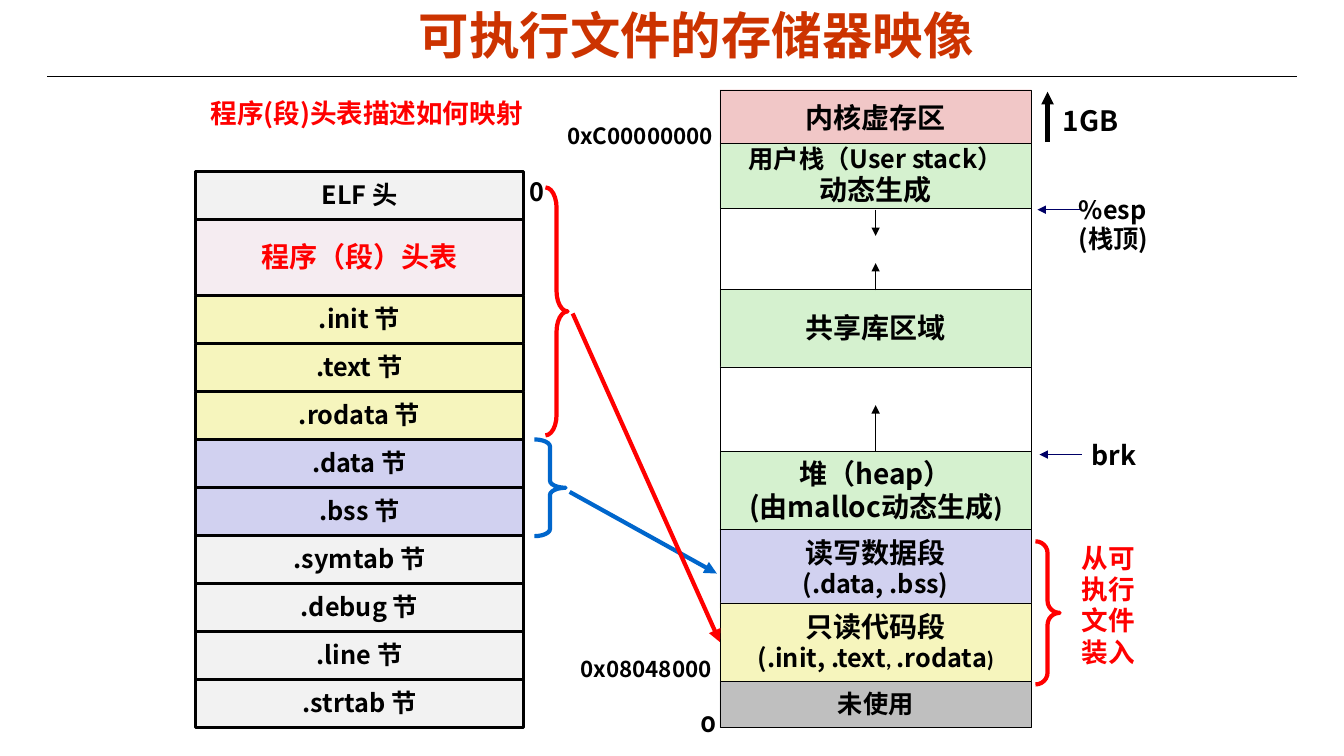
from lxml import etree
from pptx import Presentation
from pptx import util as u
from pptx.dml.color import RGBColor
from pptx.enum import shapes, text
from pptx.oxml.ns import qn

# Grid: one column or row is one inch; the two memory columns have fixed edges
WIDTH, HEIGHT = 13.33, 7.5
ELF_X, ELF_W, ELF_TOP, ELF_BOTTOM = 1.94, 3.25, 1.7, 7.22
HEADER_H = 0.76
MEM_X, MEM_W = 7.14, 3.09
MEM_MID = MEM_X + MEM_W / 2
CJK, LATIN = "Noto Sans CJK SC", "Calibri"
COLORS = {
    "black": "000000", "title": "CC3300", "red": "FF0000", "blue": "0066CC",
    "navy": "000066", "white": "FFFFFF", "kernel": "F1C7C7", "dynamic": "D5F1CF",
    "data": "D1D1F0", "code": "F6F5BD", "unused": "BFBFBF", "plain": "F2F2F2",
    "header": "993366",
}

# ELF sections below the program header table
SECTIONS = [
    (".init 节", "code"), (".text 节", "code"), (".rodata 节", "code"),
    (".data 节", "data"), (".bss 节", "data"), (".symtab 节", "plain"),
    (".debug 节", "plain"), (".line 节", "plain"), (".strtab 节", "plain"),
]
# Memory areas: top, height, fill, paragraphs of (text, size, font) runs
AREAS = [
    (2.07, 0.8, "white", []),
    (0.89, 0.57, "kernel", [[("内核虚存区", 20, CJK)]]),
    (2.87, 0.78, "dynamic", [[("共享库区域", 20, CJK)]]),
    (3.64, 0.84, "white", []),
    (4.48, 0.78, "dynamic", [[("堆（heap）", 20, CJK)],
                             [("(由malloc动态生成", 20, CJK), (")", 20, LATIN)]]),
    (1.42, 0.65, "dynamic", [[("用户栈（User stack）", 18, CJK)],
                             [("动态生成", 20, LATIN)]]),
    (6.76, 0.46, "unused", [[("未使用", 18, CJK)]]),
    (5.25, 0.78, "data", [[("读写数据段", 20, CJK)], [("(.data, .bss)", 18, CJK)]]),
    (5.98, 0.78, "code", [[("只读代码段", 20, CJK)],
                          [("(.init, .text", 18, CJK), (", ", 16, LATIN),
                           (".rodata", 18, CJK), (")", 16, LATIN)]]),
]


def rgb(name):
    return RGBColor.from_string(COLORS[name])


def box(x, y, w, h):
    return [u.Inches(v) for v in (x, y, w, h)]


def write(tf, paragraphs, color="black", align="LEFT", spacing=0.98,
          anchor="TOP", wrap=False, inset=0.1):
    tf.word_wrap = wrap
    tf.vertical_anchor = text.MSO_ANCHOR[anchor]
    tf.margin_left = tf.margin_right = u.Inches(inset)
    tf.margin_top = tf.margin_bottom = u.Inches(0.05)
    for i, runs in enumerate(paragraphs):
        p = tf.paragraphs[0] if i == 0 else tf.add_paragraph()
        p.alignment = text.PP_ALIGN[align]
        p.line_spacing = spacing
        for words, size, font in runs:
            r = p.add_run()
            r.text = words
            r.font.size, r.font.bold, r.font.name = u.Pt(size), True, font
            r.font.color.rgb = rgb(color)
            ea = etree.SubElement(r.font._element, qn("a:ea"))
            ea.set("typeface", CJK)


def label(s, x, y, w, h, lines, size, font=CJK, **style):
    sp = s.shapes.add_textbox(*box(x, y, w, h))
    write(sp.text_frame, [[(line, size, font)] for line in lines], **style)


def block(s, x, y, w, h, fill, paragraphs, line=0.25, color="black", alpha=None):
    sp = s.shapes.add_shape(shapes.MSO_SHAPE.RECTANGLE, *box(x, y, w, h))
    sp.shadow.inherit = False
    sp.fill.solid()
    sp.fill.fore_color.rgb = rgb(fill)
    if alpha:
        clr = sp._element.spPr.find(".//" + qn("a:srgbClr"))
        etree.SubElement(clr, qn("a:alpha")).set("val", str(alpha * 1000))
    sp.line.color.rgb = rgb("black")
    sp.line.width = u.Pt(line)
    write(sp.text_frame, paragraphs, color, "CENTER", anchor="MIDDLE")


def brace(s, x, y, w, h, color, curve):
    sp = s.shapes.add_shape(shapes.MSO_SHAPE.RIGHT_BRACE, *box(x, y, w, h))
    sp.shadow.inherit = False
    sp.adjustments[0], sp.adjustments[1] = curve, 0.5
    sp.fill.background()
    sp.line.color.rgb = rgb(color)
    sp.line.width = u.Pt(3)


def line(s, x1, y1, x2, y2, color="black", width=0.25, arrow=True):
    c = s.shapes.add_connector(shapes.MSO_CONNECTOR.STRAIGHT, *box(x1, y1, x2, y2))
    c.line.color.rgb = rgb(color)
    c.line.width = u.Pt(width)
    if arrow:
        etree.SubElement(c.line._get_or_add_ln(), qn("a:tailEnd")).set("type", "triangle")
    etree.SubElement(c._element.spPr, qn("a:effectLst"))


def elf_file(s):
    row = (ELF_BOTTOM - ELF_TOP - HEADER_H) / (len(SECTIONS) + 1)
    block(s, ELF_X, ELF_TOP, ELF_W, row, "plain", [[("ELF 头", 18, CJK)]], 2)
    block(s, ELF_X, ELF_TOP + row, ELF_W, HEADER_H, "header",
          [[("程序（段）头表", 20, CJK)]], 2, "red", alpha=9)
    first = ELF_TOP + row + HEADER_H
    for i, (name, fill) in enumerate(SECTIONS):
        block(s, ELF_X, first + i * row, ELF_W, row, fill, [[(name, 18, CJK)]], 2)
    label(s, 5.15, 1.72, 0.35, 0.4, ["0"], 18, wrap=True)
    label(s, 1.99, 0.91, 3.57, 0.42, ["程序(段)头表描述如何映射"], 19,
          color="red", spacing=1.0, wrap=True)


def memory_image(s):
    for top, height, fill, paragraphs in AREAS:
        block(s, MEM_X, top, MEM_W, height, fill, paragraphs)
    # Growth directions of stack, shared libraries and heap
    for start, end in [(4.47, 4.02), (2.88, 2.61), (2.08, 2.34)]:
        line(s, MEM_MID, start, MEM_MID, end)
    # Addresses on the left
    label(s, 5.53, 1.18, 1.73, 0.36, ["0xC00000000"], 16, spacing=0.94)
    label(s, 5.66, 6.47, 1.58, 0.36, ["0x08048000"], 16, spacing=0.94)
    label(s, 6.85, 7.01, 0.35, 0.37, ["0"], 16, "Montserrat")
    # Pointers and sizes on the right
    label(s, 10.7, 1.9, 0.8, 0.68, ["%esp", "(栈顶)"], 18,
          spacing=0.96, wrap=True, inset=0)
    line(s, 10.71, 2.08, 10.29, 2.08, "navy")
    label(s, 10.73, 4.33, 0.65, 0.4, ["brk"], 19, spacing=0.94)
    line(s, 10.73, 4.51, 10.31, 4.51, "navy")
    line(s, 10.39, 1.41, 10.39, 0.91, width=3)
    label(s, 10.44, 0.98, 0.92, 0.44, ["1GB"], 20, spacing=1.0, wrap=True)
    brace(s, 10.27, 5.37, 0.24, 1.42, "red", 0.49)
    label(s, 10.63, 5.34, 0.82, 1.36, ["从可执行文件装入"], 19, LATIN,
          color="red", wrap=True)


def mapping(s):
    line(s, 5.65, 4.88, 7.11, 5.69, "blue", 3)
    brace(s, 5.3, 4.36, 0.31, 0.96, "blue", 0.23)
    line(s, 5.68, 3.11, MEM_X, 6.37, "red", 3)
    brace(s, 5.41, 1.86, 0.22, 2.46, "red", 0.92)


def main():
    prs = Presentation()
    prs.slide_width, prs.slide_height = u.Inches(WIDTH), u.Inches(HEIGHT)
    s = prs.slides.add_slide(prs.slide_layouts[6])
    # Title and rule
    line(s, 0.47, 0.76, 12.86, 0.76, width=0.75, arrow=False)
    label(s, 2.14, 0, 9.53, 0.68, ["可执行文件的存储器映像"], 36, "Arial",
          color="title", align="CENTER", anchor="MIDDLE", spacing=1.0, wrap=True)
    memory_image(s)
    elf_file(s)
    mapping(s)
    prs.save("out.pptx")


if __name__ == "__main__":
    main()
